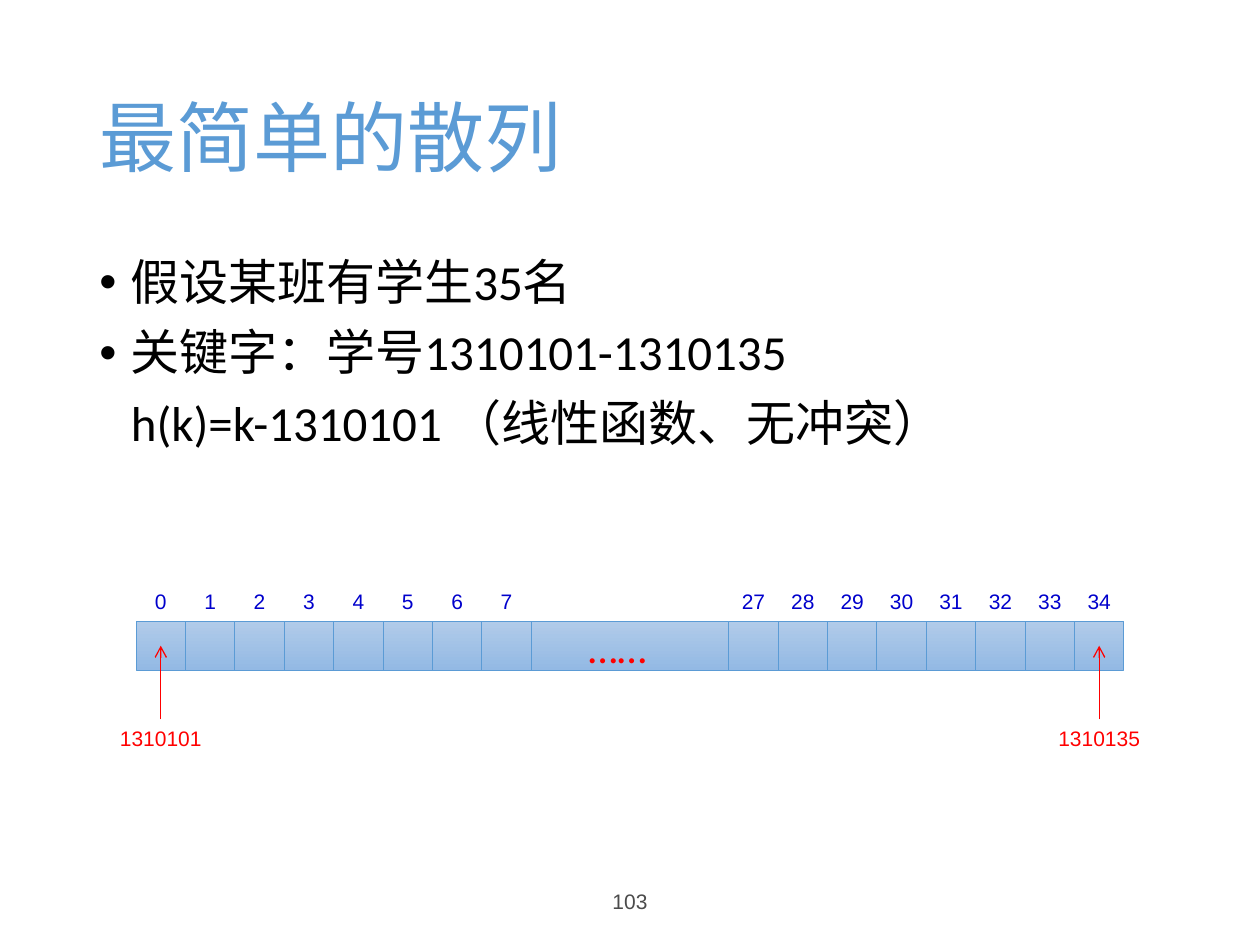
from dataclasses import dataclass

from lxml.etree import SubElement
from pptx import Presentation
from pptx.dml.color import RGBColor as Rgb
from pptx.enum.shapes import MSO_CONNECTOR as Connector, MSO_SHAPE as Shape
from pptx.enum.text import MSO_ANCHOR as Anchor, PP_ALIGN as Align
from pptx.oxml.ns import qn
from pptx.util import Inches, Pt


@dataclass(frozen=True)
class Theme:
    heading: Rgb = Rgb(0x5B, 0x9B, 0xD5)
    ink: Rgb = Rgb(0, 0, 0)
    footer: Rgb = Rgb(0x4B, 0x4B, 0x4B)
    index: Rgb = Rgb(0, 0, 0xCC)
    key: Rgb = Rgb(0xFF, 0, 0)
    cell_top: Rgb = Rgb(0xB1, 0xCB, 0xE9)
    cell_bottom: Rgb = Rgb(0x93, 0xB9, 0xE4)
    title_size: int = 44
    body_size: int = 28
    dots_size: int = 24
    label_size: int = 12
    text_font: str = "Calibri"
    label_font: str = "Arial"


THEME = Theme()


def set_all(target, values):
    for name, value in values.items():
        setattr(target, name, value)


def write(para, text, size, color, font=THEME.text_font, **layout):
    set_all(para, layout)
    span = para.add_run()
    span.text = text
    set_all(span.font, {"size": Pt(size), "name": font})
    span.font.color.rgb = color


def add_box(page, left, top, width, height, **frame):
    box = page.shapes.add_textbox(left, top, width, height)
    set_all(box.text_frame, {"word_wrap": True, **frame})
    return box


def add_label(page, left, top, width, text, color, height=Inches(0.3), **frame):
    box = add_box(page, left, top, width, height, **frame)
    write(box.text_frame.paragraphs[0], text, THEME.label_size, color,
          THEME.label_font, alignment=Align.CENTER)
    return box


def add_title(page, left, top, width, height, text):
    box = add_box(page, left, top, width, height, vertical_anchor=Anchor.MIDDLE)
    write(box.text_frame.paragraphs[0], text, THEME.title_size, THEME.heading,
          line_spacing=0.9)


def add_body(page, left, top, width, height, lines):
    frame = add_box(page, left, top, width, height).text_frame
    indent = Inches(0.25)
    for number, (text, bulleted) in enumerate(lines):
        para = frame.add_paragraph() if number else frame.paragraphs[0]
        layout = {"line_spacing": 0.9}
        if number:
            layout["space_before"] = Pt(10)
        set_all(para, layout)
        props = para._p.get_or_add_pPr()
        props.set("marL", str(indent))
        props.set("indent", str(-indent if bulleted else 0))
        if bulleted:
            SubElement(props, qn("a:buFont"), typeface="Arial")
            SubElement(props, qn("a:buChar"), char="•")
        write(para, text, THEME.body_size, THEME.ink)


def add_cell(page, left, top, width, height):
    cell = page.shapes.add_shape(Shape.RECTANGLE, left, top, width, height)
    cell.shadow.inherit = False
    cell.fill.gradient()
    cell.fill.gradient_angle = 270
    for stop, color in zip(cell.fill.gradient_stops,
                           (THEME.cell_top, THEME.cell_bottom)):
        stop.color.rgb = color
    cell.line.color.rgb = THEME.heading
    cell.line.width = Pt(0.5)
    return cell


def add_key(page, cell, top, text):
    """Key label below the table, with an arrow up to the middle of its cell."""
    width = Inches(1.18)
    center = cell.left + cell.width // 2
    label = add_label(page, center - width // 2, top, width, text, THEME.key)
    arrow = page.shapes.add_connector(Connector.STRAIGHT, center, top, center,
                                      cell.top + cell.height // 2)
    arrow.begin_connect(label, 0)
    arrow.line.color.rgb = THEME.key
    arrow.line.width = Pt(0.75)
    SubElement(arrow.line._get_or_add_ln(), qn("a:tailEnd"), type="arrow")
    SubElement(arrow._element.spPr, qn("a:effectLst"))


def add_hash_table(page, left, top, width, height):
    slots, gap_start, gap_end, last = 20, 8, 12, 34
    pitch = width / slots

    # Numbered cells on both sides of the gap
    cells = {}
    for slot in [*range(gap_start), *range(gap_end, slots)]:
        index = slot if slot < gap_start else slot + last + 1 - slots
        x = int(left + slot * pitch)
        cells[index] = add_cell(page, x, top, int(pitch), height)
        add_label(page, x, top - Inches(0.31), int(pitch), str(index),
                  THEME.index, margin_left=0, margin_right=0)

    # Wide cell for the omitted slots
    gap = add_cell(page, int(left + gap_start * pitch), top,
                   int((gap_end - gap_start) * pitch), height)
    set_all(gap.text_frame, {
        "vertical_anchor": Anchor.TOP, "word_wrap": True, "margin_left": 0,
        "margin_top": 0, "margin_right": Inches(0.2), "margin_bottom": 0})
    write(gap.text_frame.paragraphs[0], "……", THEME.dots_size, THEME.key,
          alignment=Align.CENTER)

    # Keys stored in the first and last cells
    for index, key in ((0, "1310101"), (last, "1310135")):
        add_key(page, cells[index], top + Inches(0.78), key)


def main():
    deck = Presentation()
    deck.slide_width, deck.slide_height = Inches(10), Inches(7.5)
    page = deck.slides.add_slide(deck.slide_layouts[6])

    add_title(page, Inches(0.69), Inches(0.4), Inches(8.62), Inches(1.45),
              "最简单的散列")
    add_body(page, Inches(0.69), Inches(2), Inches(8.62), Inches(4.76), [
        ("假设某班有学生35名", True),
        ("关键字：学号1310101-1310135", True),
        ("h(k)=k-1310101 （线性函数、无冲突）", False),
    ])
    add_hash_table(page, Inches(1.08), Inches(4.93), Inches(7.84), Inches(0.39))

    # Page number
    add_label(page, Inches(3.31), Inches(6.95), Inches(3.38), "103",
              THEME.footer, Inches(0.4), vertical_anchor=Anchor.MIDDLE)

    deck.save("out.pptx")


if __name__ == "__main__":
    main()
